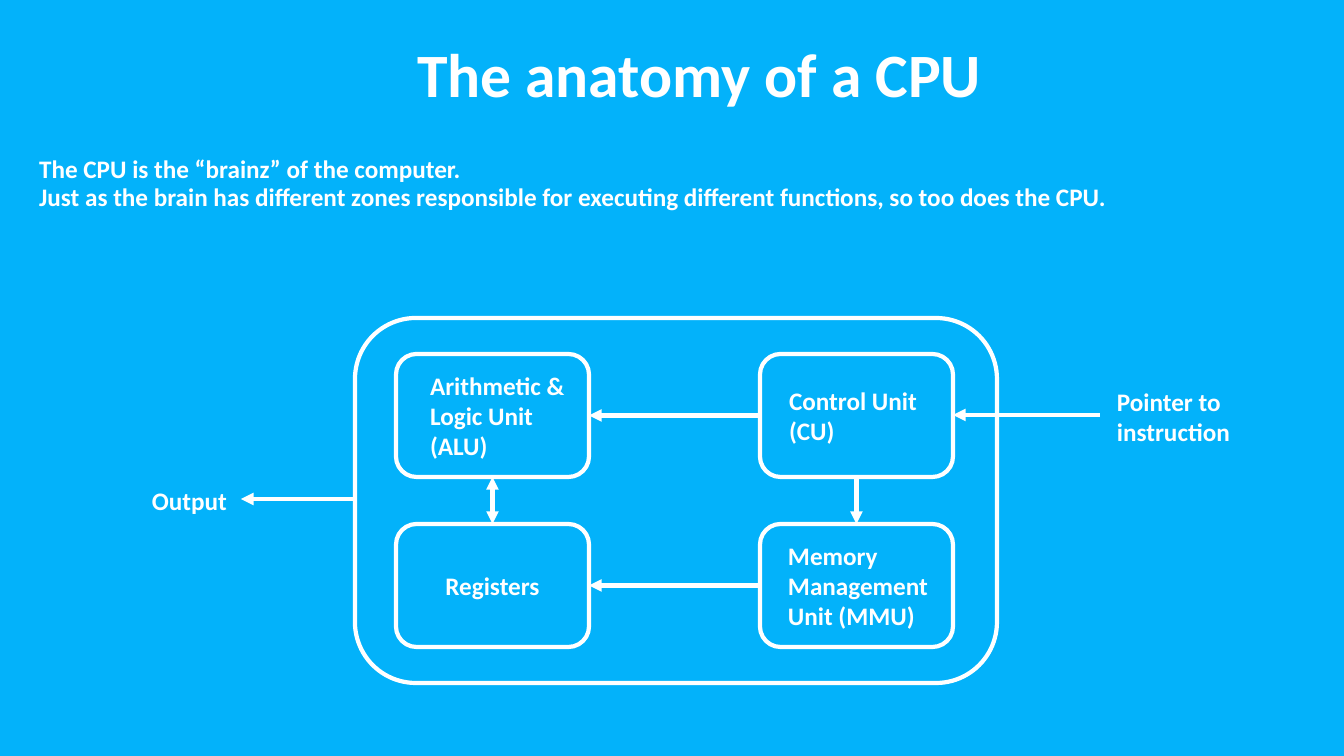
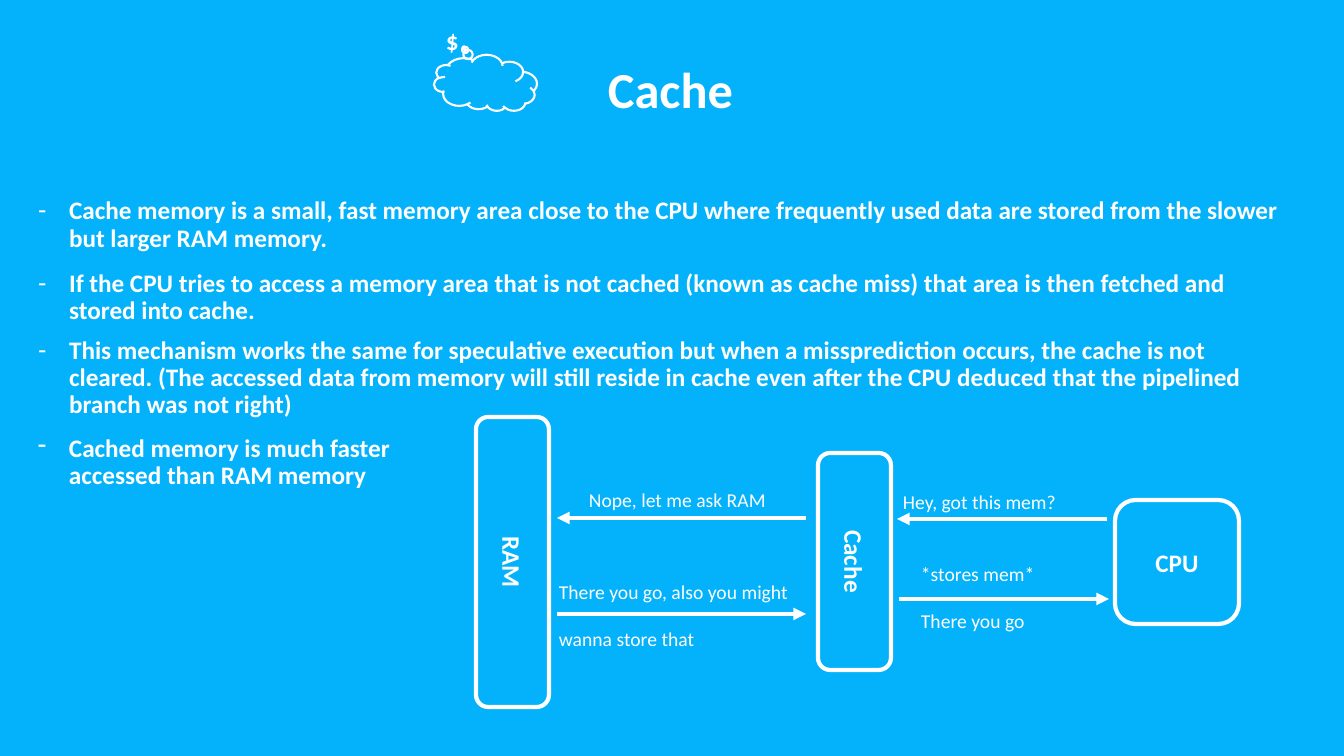
from pptx import Presentation
from pptx import util as u
from pptx.dml.color import RGBColor
from pptx.enum import shapes, text
from pptx.oxml import ns
from lxml import etree

SKY = RGBColor(0x03, 0xB2, 0xFA)
WHITE = RGBColor(0xFF, 0xFF, 0xFF)
FONT = "Calibri"
WIDE, HIGH = 1344, 756
SCALE = 12192000 / WIDE
TOP, LEFT, BOTTOM, RIGHT = range(4)


def px(n):
    return u.Emu(round(n * SCALE))


def place(shape, box):
    shape.left, shape.top, shape.width, shape.height = map(px, box)


def write(shape, lines, size=18, bold=True, align=text.PP_ALIGN.LEFT, lead=1.0, gaps=()):
    frame = shape.text_frame
    frame.text = "\n".join(lines)
    frame.auto_size = text.MSO_AUTO_SIZE.NONE
    for i, para in enumerate(frame.paragraphs):
        para.alignment = align
        para.line_spacing = lead
        para.space_before = u.Pt(gaps[i] if i < len(gaps) else 0)
        for run in para.runs:
            run.font.name = FONT
            run.font.size = u.Pt(size)
            run.font.bold = bold
            run.font.color.rgb = WHITE


def bullet(shape, mark=None):
    for para in shape.text_frame.paragraphs:
        props = para._p.get_or_add_pPr()
        inset = px(31) if mark else 0
        props.set("marL", str(inset))
        props.set("indent", str(-inset))
        if mark:
            etree.SubElement(props, ns.qn("a:buChar")).set("char", mark)
        else:
            etree.SubElement(props, ns.qn("a:buNone"))


def start(deck, title, box, size):
    slide = deck.slides.add_slide(deck.slide_layouts[1])
    head = slide.shapes.title
    place(head, box)
    write(head, [title], size, align=text.PP_ALIGN.CENTER, lead=0.9)
    head.text_frame.vertical_anchor = text.MSO_ANCHOR.MIDDLE
    return slide


def body(slide, box, lines, mark=None, gaps=()):
    shape = slide.placeholders[1]
    place(shape, box)
    write(shape, lines, lead=0.9, gaps=gaps)
    bullet(shape, mark)


def label(slide, box, lines, size=18, bold=True, gaps=()):
    shape = slide.shapes.add_textbox(*map(px, box))
    write(shape, lines, size, bold, gaps=gaps)
    shape.text_frame.word_wrap = False
    return shape


def frame(slide, box, kind=shapes.MSO_SHAPE.ROUNDED_RECTANGLE, width=3):
    shape = slide.shapes.add_shape(kind, *map(px, box))
    shape.shadow.inherit = False
    shape.fill.background()
    shape.line.color.rgb = WHITE
    shape.line.width = u.Pt(width)
    return shape


def node(slide, box, lines, inset=None, turn=False):
    shape = frame(slide, box)
    align = text.PP_ALIGN.CENTER if inset is None else text.PP_ALIGN.LEFT
    write(shape, lines, align=align)
    words = shape.text_frame
    words.word_wrap = True
    words.vertical_anchor = text.MSO_ANCHOR.MIDDLE
    words.margin_left = px(inset or 0)
    words.margin_right = 0
    if turn:
        words._txBody.bodyPr.set("vert", "vert")
    return shape


def arrow(slide, x1, y1, x2, y2, both=False):
    line = slide.shapes.add_connector(
        shapes.MSO_CONNECTOR.STRAIGHT, *map(px, (x1, y1, x2, y2)))
    line.line.color.rgb = WHITE
    line.line.width = u.Pt(3)
    stroke = line.line._get_or_add_ln()
    for tip in ("headEnd", "tailEnd") if both else ("tailEnd",):
        etree.SubElement(stroke, ns.qn("a:" + tip)).set("type", "triangle")
    etree.SubElement(line._element.spPr, ns.qn("a:effectLst"))
    return line


def link(slide, a, side, b, end, both=False):
    line = arrow(slide, 0, 0, 1, 1, both)
    line.begin_connect(a, side)
    line.end_connect(b, end)


def chip(slide, x, y, w, h):
    frame(slide, (x, y, w, h))
    units = (
        (0, 0, ["Arithmetic &", "Logic Unit", "(ALU)"], 28),
        (1, 0, ["Control Unit", "(CU)"], 23),
        (0, 1, ["Registers"], None),
        (1, 1, ["Memory", "Management", "Unit (MMU)"], 22),
    )
    alu, control, store, memory = [
        node(slide, (x + 41 + 364 * col, y + 36 + 170 * row, 193, 123), lines, inset)
        for col, row, lines, inset in units]
    link(slide, control, LEFT, alu, RIGHT)
    link(slide, control, BOTTOM, memory, TOP)
    link(slide, memory, LEFT, store, RIGHT)
    link(slide, alu, BOTTOM, store, TOP, both=True)
    arrow(slide, x + w + 103, y + 97, x + 598, y + 97)
    label(slide, (x + w + 110, y + 63, 134, 72), ["Pointer to", "instruction"])
    arrow(slide, x, y + 181, x - 114, y + 181)
    label(slide, (x - 213, y + 162, 96, 40), ["Output"])


def flow(slide, x, y, w, h):
    for name, left, wide, tall, turn in (
            ("RAM", 0, 73, h, True),
            ("Cache", 342, 73, 217, True),
            ("CPU", w - 124, 124, 124, False)):
        node(slide, (x + left, y + (h - tall) // 2, wide, tall), [name], turn=turn)
    for begin, end, drop in (
            (631, 421, 102), (330, 81, 101), (81, 330, 197), (423, 633, 182)):
        arrow(slide, x + begin, y + drop, x + end, y + drop)
    for left, drop, wide, tall, lines in (
            (417, 68, 174, 34, ["Hey, got this mem?"]),
            (103, 66, 199, 34, ["Nope, let me ask RAM"]),
            (73, 158, 252, 82, ["There you go, also you might", "wanna store that"]),
            (435, 140, 139, 82, ["*stores mem*", "There you go"])):
        label(slide, (x + left, y + drop, wide, tall), lines, 14, False, (0, 17))


def cloud(slide, x, y, w, h):
    shape = frame(slide, (x, y, w, h), shapes.MSO_SHAPE.CLOUD_CALLOUT, 1.5)
    shape._element.spPr.xfrm.set("flipV", "1")
    label(slide, (x + 2, y - 35, 33, 40), ["$"])


def anatomy(deck):
    slide = start(deck, "The anatomy of a CPU", (183, 22, 1033, 112), 44)
    body(slide, (29, 152, 1261, 83), [
        "The CPU is the “brainz” of the computer.",
        "Just as the brain has different zones responsible for executing "
        "different functions, so too does the CPU."])
    chip(slide, 355, 318, 642, 365)


def cache(deck):
    slide = start(deck, "Cache", (154, 36, 1033, 112), 36)
    body(slide, (28, 193, 1261, 226), [
        "Cache memory is a small, fast memory area close to the CPU where "
        "frequently used data are stored from the slower but larger RAM memory.",
        "If the CPU tries to access a memory area that is not cached (known as "
        "cache miss) that area is then fetched and stored into cache.",
        "This mechanism works the same for speculative execution but when a "
        "missprediction occurs, the cache is not cleared. (The accessed data from "
        "memory will still reside in cache even after the CPU deduced that the "
        "pipelined branch was not right)"], "-", (0, 13, 9))
    last = label(slide, (28, 431, 406, 70), [
        "Cached memory is much faster accessed than RAM memory"])
    last.text_frame.word_wrap = True
    last.text_frame.paragraphs[0].line_spacing = 0.9
    bullet(last, "-")
    cloud(slide, 434, 55, 103, 56)
    flow(slide, 476, 417, 763, 290)


deck = Presentation()
deck.slide_width, deck.slide_height = px(WIDE), px(HIGH)
back = deck.slide_master.background.fill
back.solid()
back.fore_color.rgb = SKY
anatomy(deck)
cache(deck)
deck.save("out.pptx")
